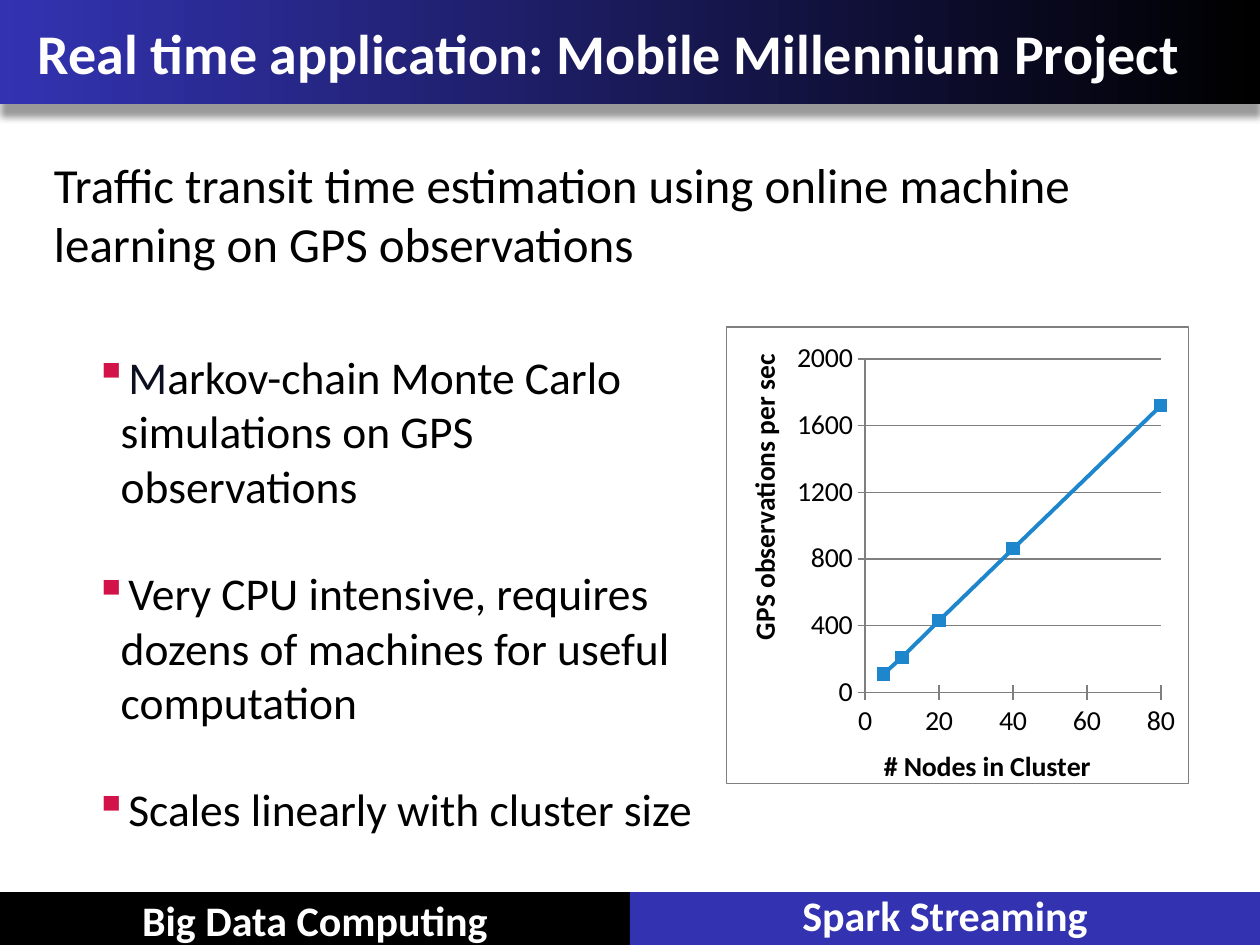
from dataclasses import dataclass
from typing import NamedTuple

from lxml.etree import SubElement
from pptx import Presentation
from pptx.chart.data import XyChartData
from pptx.dml.color import RGBColor
from pptx.enum.chart import XL_CHART_TYPE, XL_MARKER_STYLE, XL_TICK_MARK
from pptx.enum.shapes import MSO_SHAPE
from pptx.enum.text import MSO_ANCHOR, PP_ALIGN
from pptx.oxml import parse_xml
from pptx.oxml.ns import nsdecls, qn
from pptx.util import Inches, Pt


@dataclass(frozen=True)
class Theme:
    font: str = "Calibri"
    blue: str = "3333B2"
    black: str = "000000"
    white: str = "FFFFFF"
    ink: str = "0C0F20"
    bullet: str = "D11349"
    series: str = "1D86CD"
    rule: str = "7F7F7F"
    title_size: int = 32
    lead_size: int = 28
    bullet_size: int = 26
    footer_size: int = 24
    chart_size: int = 16


class Box(NamedTuple):
    left: float
    top: float
    width: float
    height: float

    def inner_box(self, left, top, width, height):
        return Box(self.left + left, self.top + top, width, height)

    def lengths(self):
        return [Inches(value) for value in self]


THEME = Theme()


def rgb(color):
    return RGBColor.from_string(color)


def add_span(para, text, size, color=THEME.black, bold=False):
    span = para.add_run()
    span.text = text
    font = span.font
    font.name, font.size, font.bold = THEME.font, Pt(size), bold
    font.color.rgb = rgb(color)


def add_text_frame(page, box, anchor=MSO_ANCHOR.TOP):
    frame = page.shapes.add_textbox(*box.lengths()).text_frame
    frame.word_wrap = True
    frame.vertical_anchor = anchor
    return frame


def add_band(page, box, color):
    band = page.shapes.add_shape(MSO_SHAPE.RECTANGLE, *box.lengths())
    band.shadow.inherit = False
    band.line.fill.background()
    band.fill.solid()
    band.fill.fore_color.rgb = rgb(color)
    return band


def add_header(page, box, text):
    band = add_band(page, box, THEME.blue)
    band.fill.gradient()
    band.fill.gradient_angle = 0
    for stop, color in zip(band.fill.gradient_stops, (THEME.blue, THEME.black)):
        stop.color.rgb = rgb(color)
    effects = band._element.spPr.find(qn("a:effectLst"))
    shadow = SubElement(effects, qn("a:outerShdw"), blurRad=str(Pt(4)),
                        dist=str(Pt(7)), dir="5400000", rotWithShape="0")
    shade = SubElement(shadow, qn("a:srgbClr"), val=THEME.black)
    SubElement(shade, qn("a:alpha"), val="40000")
    frame = add_text_frame(page, box.inner_box(0, 0, 9.75, box.height), MSO_ANCHOR.MIDDLE)
    frame.margin_left = Inches(0.3)
    add_span(frame.paragraphs[0], text, THEME.title_size, THEME.white, bold=True)


def add_lead(page, box, text):
    frame = add_text_frame(page, box)
    add_span(frame.paragraphs[0], text, THEME.lead_size)


def add_bullet(para):
    properties = para._p.get_or_add_pPr()
    properties.set("marL", str(Inches(0.36)))
    properties.set("indent", str(Inches(-0.21)))
    color = SubElement(properties, qn("a:buClr"))
    SubElement(color, qn("a:srgbClr"), val=THEME.bullet)
    SubElement(properties, qn("a:buChar"), char="▪")


def add_bullets(page, box, items):
    frame = add_text_frame(page, box)
    for index, spans in enumerate(items):
        para = frame.add_paragraph() if index else frame.paragraphs[0]
        para.space_before = Pt(30 if index else 0)
        add_bullet(para)
        for text, color in spans:
            add_span(para, text, THEME.bullet_size, color)


def set_layout(parent, index, inner=False, **fractions):
    for old in parent.findall(qn("c:layout")):
        parent.remove(old)
    layout = parse_xml(f"<c:layout {nsdecls('c')}/>")
    manual = SubElement(layout, qn("c:manualLayout"))
    if inner:
        SubElement(manual, qn("c:layoutTarget"), val="inner")
    for side in ("xMode", "yMode"):
        SubElement(manual, qn(f"c:{side}"), val="edge")
    for side, value in fractions.items():
        SubElement(manual, qn(f"c:{side}"), val=str(value))
    parent.insert(index, layout)


def format_axis(axis, title, maximum, step, x, y, rotation=0):
    axis.minimum_scale, axis.maximum_scale, axis.major_unit = 0, maximum, step
    axis.major_tick_mark = XL_TICK_MARK.CROSS
    axis.minor_tick_mark = XL_TICK_MARK.NONE
    axis.format.line.color.rgb = rgb(THEME.rule)
    axis.format.line.width = Pt(0.75)
    axis.tick_labels.font.size = Pt(THEME.chart_size)
    heading = axis.axis_title
    para = heading.text_frame.paragraphs[0]
    add_span(para, title, THEME.chart_size, bold=True)
    body = next(heading._element.iter(qn("a:bodyPr")))
    body.set("rot", str(rotation * 60000))
    body.set("vert", "horz")
    set_layout(heading._element, 1, x=x, y=y)


def add_scaling_chart(page, box, points):
    data = XyChartData()
    series_data = data.add_series("Series 1")
    for nodes, rate in points:
        series_data.add_data_point(nodes, rate)
    chart = page.shapes.add_chart(XL_CHART_TYPE.XY_SCATTER_LINES, *box.lengths(), data).chart
    chart.has_legend = chart.has_title = False
    chart.font.name, chart.font.size = THEME.font, Pt(THEME.chart_size)
    chart.font.color.rgb = rgb(THEME.black)
    format_axis(chart.category_axis, "# Nodes in Cluster", 80, 20, 0.33, 0.91)
    format_axis(chart.value_axis, "GPS observations per sec", 2000, 400, 0.03, 0.06, -90)
    chart.category_axis.has_major_gridlines = False
    chart.value_axis.has_major_gridlines = True
    grid = chart.value_axis.major_gridlines.format.line
    grid.color.rgb, grid.width = rgb(THEME.rule), Pt(0.75)

    plot = chart.plots[0]
    plot.vary_by_categories = False
    series = plot.series[0]
    series.smooth = False
    series.format.line.color.rgb = rgb(THEME.series)
    series.format.line.width = Pt(2.25)
    series.marker.style, series.marker.size = XL_MARKER_STYLE.SQUARE, 7
    series.marker.format.fill.solid()
    series.marker.format.fill.fore_color.rgb = rgb(THEME.series)
    series.marker.format.line.color.rgb = rgb(THEME.series)

    space = chart._chartSpace
    set_layout(space.chart.plotArea, 0, inner=True, x=0.3, y=0.07, w=0.64, h=0.73)
    border = parse_xml(
        f'<c:spPr {nsdecls("c", "a")}><a:noFill/><a:ln w="{Pt(0.75)}"><a:solidFill>'
        f'<a:srgbClr val="{THEME.rule}"/></a:solidFill></a:ln></c:spPr>')
    space.chart.addnext(border)


def add_footer(page, box, labels):
    half = box.width / len(labels)
    for index, (text, color, top, height) in enumerate(labels):
        left = index * half
        add_band(page, box.inner_box(left, 0, half, box.height), color)
        frame = add_text_frame(page, box.inner_box(left, top, half, height), MSO_ANCHOR.MIDDLE)
        para = frame.paragraphs[0]
        para.alignment = PP_ALIGN.CENTER
        add_span(para, text, THEME.footer_size, THEME.white, bold=True)


def main():
    deck = Presentation()
    deck.slide_width, deck.slide_height = Inches(10), Inches(7.5)
    page = deck.slides.add_slide(deck.slide_layouts[6])
    add_header(page, Box(0, 0, 10, 0.83), "Real time application: Mobile Millennium Project")
    add_lead(page, Box(0.33, 1.18, 9.17, 1.1),
             "Traffic transit time estimation using online machine learning on GPS observations")
    add_scaling_chart(page, Box(5.76, 2.59, 3.68, 3.7),
                      [(5, 110), (10, 210), (20, 430), (40, 860), (80, 1720)])
    add_bullets(page, Box(0.5, 2.72, 5.19, 3.77), [
        [("M", THEME.ink),
         ("arkov-chain Monte Carlo simulations on GPS observations", THEME.black)],
        [("Very CPU intensive, requires dozens of machines for useful computation", THEME.black)],
        [("Scales linearly with cluster size", THEME.black)],
    ])
    add_footer(page, Box(0, 7.08, 10, 0.42), [
        ("Big Data Computing", THEME.black, 0.06, 0.32),
        ("Spark Streaming", THEME.blue, -0.02, 0.4),
    ])
    deck.save("out.pptx")


if __name__ == "__main__":
    main()
